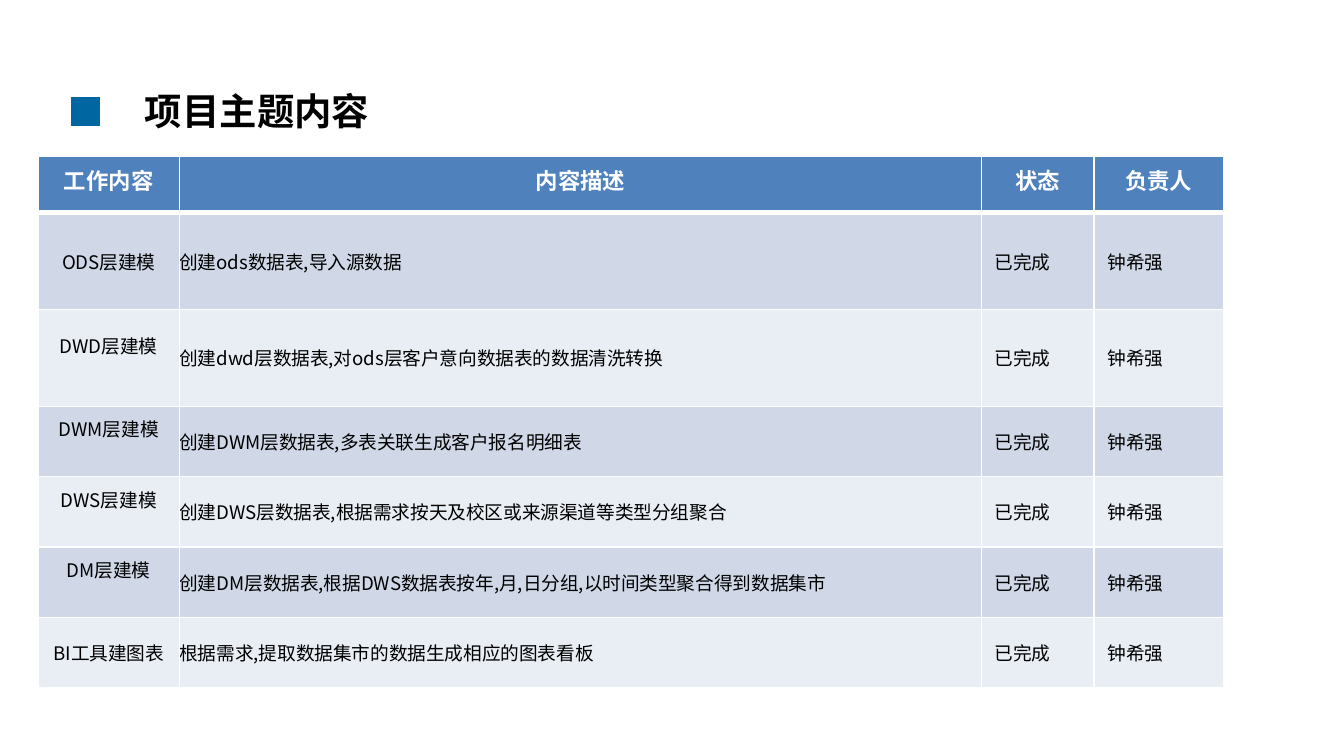
from itertools import product

from lxml import etree
from pptx import Presentation
from pptx.dml.color import RGBColor
from pptx.enum.shapes import MSO_SHAPE
from pptx.enum.text import MSO_ANCHOR, PP_ALIGN
from pptx.oxml.ns import qn
from pptx.util import Cm, Pt

LEFT, MID = PP_ALIGN.LEFT, PP_ALIGN.CENTER
TOP, HALF = MSO_ANCHOR.TOP, MSO_ANCHOR.MIDDLE
RECT = MSO_SHAPE.RECTANGLE

FONT = "Noto Sans CJK SC"
BLACK = RGBColor(0x00, 0x00, 0x00)
WHITE = RGBColor(0xFF, 0xFF, 0xFF)
MARK = RGBColor(0x00, 0x66, 0xA1)
HEAD = RGBColor(0x4F, 0x81, 0xBD)
BANDS = [RGBColor(0xD0, 0xD8, 0xE8), RGBColor(0xE9, 0xED, 0xF4)]

# Content
TITLE = "项目主题内容"
LABELS = ["工作内容", "内容描述", "状态", "负责人"]
STATE, OWNER = "已完成", "钟希强"
TASKS = [
    ("ODS层建模", "创建ods数据表,导入源数据"),
    ("DWD层建模", "创建dwd层数据表,对ods层客户意向数据表的数据清洗转换"),
    ("DWM层建模", "创建DWM层数据表,多表关联生成客户报名明细表"),
    ("DWS层建模", "创建DWS层数据表,根据需求按天及校区或来源渠道等类型分组聚合"),
    ("DM层建模", "创建DM层数据表,根据DWS数据表按年,月,日分组,以时间类型聚合得到数据集市"),
    ("BI工具建图表", "根据需求,提取数据集市的数据生成相应的图表看板"),
]
ROWS = [LABELS] + [[*task, STATE, OWNER] for task in TASKS]
WIDTHS = [2.67, 15.16, 2.13, 2.44]
HEIGHTS = [1.06, 1.83, 1.83] + [1.33] * 4
RAISED = range(2, 6)  # rows whose first cell sits above the middle
LIFT = 0.48
PAD_X, PAD_Y = 0.25, 0.13


def write(frame, text, size=10, color=BLACK, bold=False, align=LEFT):
    para = frame.paragraphs[0]
    para.alignment = align
    run = para.add_run()
    run.text = text
    font = run.font
    font.size, font.bold, font.name = Pt(size), bold, FONT
    font.color.rgb = color
    east = etree.SubElement(run._r.get_or_add_rPr(), qn("a:ea"))
    east.set("typeface", FONT)


def edge(cell, side, width):
    props = cell._tc.get_or_add_tcPr()
    line = etree.SubElement(props, qn("a:ln" + side), w=str(Pt(width)))
    fill = etree.SubElement(line, qn("a:solidFill"))
    etree.SubElement(fill, qn("a:srgbClr"), val=str(WHITE))


def pad(cell, row, col):
    bare = row > 0 and (col == 1 or (col == 0 and row > 2))
    side, end = (0, 0) if bare else (PAD_X, PAD_Y)
    lift = LIFT if col == 0 and row in RAISED else 0
    cell.margin_left = cell.margin_right = Cm(side)
    cell.margin_top, cell.margin_bottom = Cm(end), Cm(end + lift)


deck = Presentation()
deck.slide_width, deck.slide_height = Cm(25.4), Cm(14.29)
slide = deck.slides.add_slide(deck.slide_layouts[6])

# Title
box = slide.shapes.add_textbox(Cm(2.49), Cm(1.55), Cm(16.61), Cm(1.12))
box.text_frame.word_wrap = True
write(box.text_frame, TITLE, size=20, bold=True)

# Marker of two by two squares
group = slide.shapes.add_group_shape()
STEP = 0.27
for row, col in product(range(2), repeat=2):
    tile = group.shapes.add_shape(
        RECT, Cm(1.35 + col * STEP), Cm(1.84 + row * STEP), Cm(STEP), Cm(STEP))
    tile.shadow.inherit = False
    tile.fill.solid()
    tile.fill.fore_color.rgb = tile.line.color.rgb = MARK
    tile.line.width = Pt(0.5)

# Table
grid = slide.shapes.add_table(
    len(ROWS), len(WIDTHS), Cm(0.72), Cm(2.96),
    Cm(sum(WIDTHS)), Cm(sum(HEIGHTS))).table
for col, width in enumerate(WIDTHS):
    grid.columns[col].width = Cm(width)
for row, texts in enumerate(ROWS):
    grid.rows[row].height = Cm(HEIGHTS[row])
    top = row == 0
    for col, text in enumerate(texts):
        cell = grid.cell(row, col)
        pad(cell, row, col)
        cell.vertical_anchor = TOP if top else HALF
        for side in "LRTB":
            thick = (row, side) in [(0, "B"), (1, "T")]
            edge(cell, side, 3 if thick else 1)
        cell.fill.solid()
        cell.fill.fore_color.rgb = HEAD if top else BANDS[(row - 1) % 2]
        write(cell.text_frame, text, size=12 if top else 10, bold=top,
              color=WHITE if top else BLACK,
              align=MID if top or col == 0 else LEFT)

deck.save("out.pptx")
